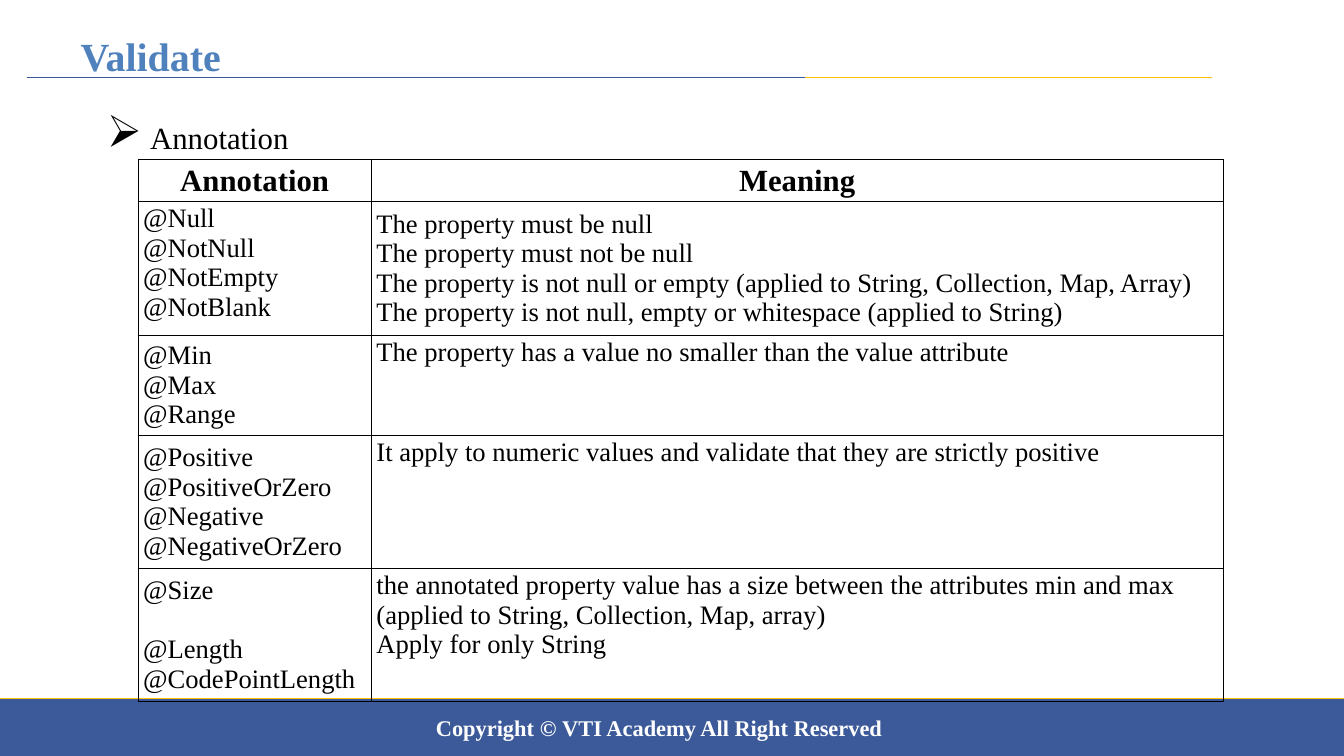
from dataclasses import dataclass

from lxml.etree import SubElement
from pptx import Presentation
from pptx.dml.color import RGBColor
from pptx.enum.shapes import MSO_CONNECTOR, MSO_SHAPE
from pptx.enum.text import MSO_ANCHOR as Anchor, PP_ALIGN as Align
from pptx.oxml.ns import qn
from pptx.util import Emu, Pt

PX = 9144  # 100 px to the inch
FONT = "Times New Roman"
COLORS = {
    "blue": "3C5A99",
    "title": "4F81BD",
    "gold": "FFC000",
    "black": "000000",
    "white": "FFFFFF",
}
TITLE_SIZE, HEADING_SIZE, BODY_SIZE, FOOTER_SIZE = 57, 44, 38, 32
BODY_LINE = 42  # height of one body line in points


@dataclass(frozen=True)
class Rule:
    left: int
    right: int
    top: int
    color: str


@dataclass(frozen=True)
class Cell:
    lines: tuple[str, ...]
    anchor: Anchor = Anchor.TOP


@dataclass(frozen=True)
class Row:
    height: int
    annotations: Cell
    meaning: Cell


RULES = (
    Rule(53, 2406, 154, "blue"),
    Rule(1598, 2406, 154, "gold"),
    Rule(0, 2667, 1386, "gold"),
)
COLUMN_WIDTHS = (463, 1690)
HEADER_HEIGHT = 82
HEADERS = ("Annotation", "Meaning")
ROWS = (
    Row(264,
        Cell(("@Null", "@NotNull", "@NotEmpty", "@NotBlank")),
        Cell(("The property must be null",
              "The property must not be null",
              "The property is not null or empty (applied to String, Collection, Map, Array)",
              "The property is not null, empty or whitespace (applied to String)"),
             Anchor.MIDDLE)),
    Row(200,
        Cell(("@Min", "@Max", "@Range"), Anchor.MIDDLE),
        Cell(("The property has a value no smaller than the value attribute",))),
    Row(264,
        Cell(("@Positive", "@PositiveOrZero", "@Negative", "@NegativeOrZero"), Anchor.MIDDLE),
        Cell(("It apply to numeric values and validate that they are strictly positive",))),
    Row(263,
        Cell(("@Size", "@Length", "@CodePointLength"), Anchor.MIDDLE),
        Cell(("the annotated property value has a size between the attributes min and max",
              "(applied to String, Collection, Map, array)",
              "Apply for only String"))),
)


def px(*lengths: int) -> list[Emu]:
    return [Emu(length * PX) for length in lengths]


def rgb(name: str) -> RGBColor:
    return RGBColor.from_string(COLORS[name])


def style(font, size: int, color: str = "black", bold: bool = False) -> None:
    font.name, font.size, font.bold = FONT, Pt(size), bold
    font.color.rgb = rgb(color)


def add_rule(page, rule: Rule) -> None:
    line = page.shapes.add_connector(
        MSO_CONNECTOR.STRAIGHT, *px(rule.left, rule.top, rule.right, rule.top))
    line.line.color.rgb = rgb(rule.color)
    line.line.width = Pt(1.5)
    SubElement(line._element.spPr, qn("a:effectLst"))


def add_text(page, area: tuple[int, int, int, int], text: str, size: int,
             color: str = "black", bold: bool = False):
    box = page.shapes.add_textbox(*px(*area))
    box.text_frame.word_wrap = True
    box.text_frame.text = text
    for span in box.text_frame.paragraphs[0].runs:
        style(span.font, size, color, bold)
    return box


def add_bullet(para, indent: int) -> None:
    """Give the paragraph an enlarged arrow bullet with a hanging indent."""
    properties = para._p.get_or_add_pPr()
    properties.set("marL", str(indent * PX))
    properties.set("indent", str(-indent * PX))
    SubElement(properties, qn("a:buSzPct"), val="145000")
    SubElement(properties, qn("a:buChar"), char="➢")


def add_footer(page) -> None:
    band = page.shapes.add_shape(MSO_SHAPE.RECTANGLE, *px(0, 1386, 2667, 114))
    band.shadow.inherit = False
    band.fill.solid()
    band.fill.fore_color.rgb = rgb("blue")
    band.line.fill.background()

    box = add_text(page, (736, 1406, 1144, 74), "Copyright ", FOOTER_SIZE, "white", True)
    frame = box.text_frame
    frame.margin_left, frame.margin_top, frame.margin_right, frame.margin_bottom = px(20, 10, 20, 10)
    para = frame.paragraphs[0]
    para.alignment = Align.CENTER
    for text, italic in (("© ", True), ("VTI Academy All Right Reserved", False)):
        span = para.add_run()
        span.text = text
        style(span.font, FOOTER_SIZE, "white", True)
        span.font.italic = italic


def outline(cell) -> None:
    """Draw thin black borders on all four sides, with no fill."""
    properties = cell._tc.get_or_add_tcPr()
    for side in ("lnL", "lnR", "lnT", "lnB"):
        border = SubElement(properties, qn(f"a:{side}"), w=str(Pt(1)))
        fill = SubElement(border, qn("a:solidFill"))
        SubElement(fill, qn("a:srgbClr"), val=COLORS["black"])
    cell.fill.background()


def fill_cell(cell, content: Cell, size: int = BODY_SIZE, header: bool = False) -> None:
    cell.text_frame.text = "\n".join(content.lines)
    cell.vertical_anchor = content.anchor
    for para in cell.text_frame.paragraphs:
        para.alignment = Align.CENTER if header else Align.LEFT
        style(para.runs[0].font, size, bold=header)
    outline(cell)


def add_annotation_table(page) -> None:
    heights = (HEADER_HEIGHT, *(row.height for row in ROWS))
    table = page.shapes.add_table(
        len(heights), len(COLUMN_WIDTHS),
        *px(274, 317, sum(COLUMN_WIDTHS), sum(heights))).table
    table.first_row = table.horz_banding = False
    for column, width in zip(table.columns, COLUMN_WIDTHS):
        column.width = Emu(width * PX)
    for row, height in zip(table.rows, heights):
        row.height = Emu(height * PX)
    for column, text in enumerate(HEADERS):
        fill_cell(table.cell(0, column), Cell((text,), Anchor.MIDDLE), HEADING_SIZE, True)
    for index, row in enumerate(ROWS, start=1):
        fill_cell(table.cell(index, 0), row.annotations)
        fill_cell(table.cell(index, 1), row.meaning)
    # @Length sits level with the third line of its meaning.
    table.cell(len(ROWS), 0).text_frame.paragraphs[1].space_before = Pt(BODY_LINE)


def main() -> None:
    deck = Presentation()
    deck.slide_width, deck.slide_height = px(2667, 1500)
    page = deck.slides.add_slide(deck.slide_layouts[6])

    add_footer(page)
    for rule in RULES:
        add_rule(page, rule)
    title = add_text(page, (150, 56, 1412, 106), "Validate", TITLE_SIZE, "title", True)
    title.text_frame.vertical_anchor = Anchor.BOTTOM
    heading = add_text(page, (202, 230, 448, 131), "Annotation", HEADING_SIZE)
    add_bullet(heading.text_frame.paragraphs[0], 86)
    add_annotation_table(page)

    deck.save("out.pptx")


if __name__ == "__main__":
    main()
